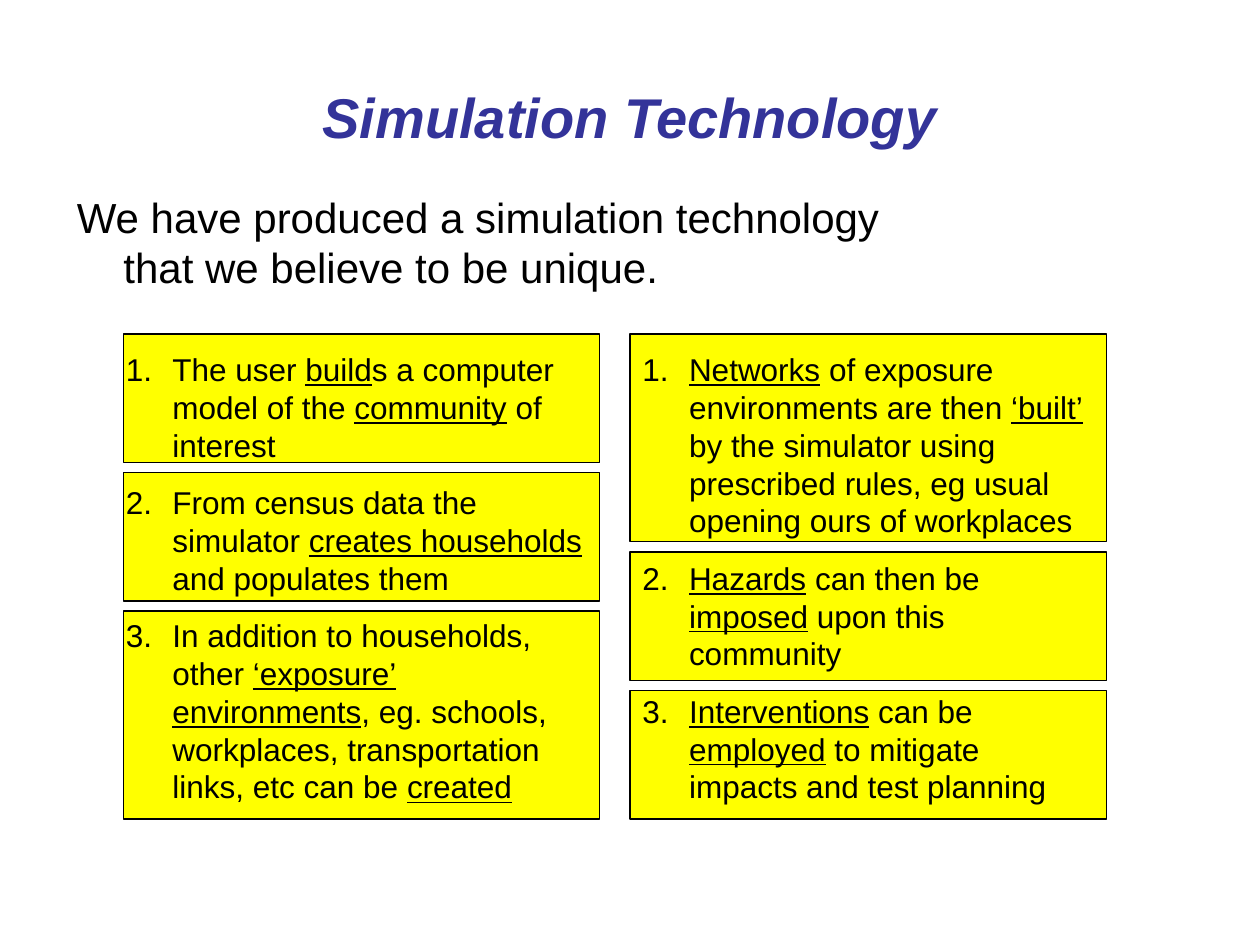
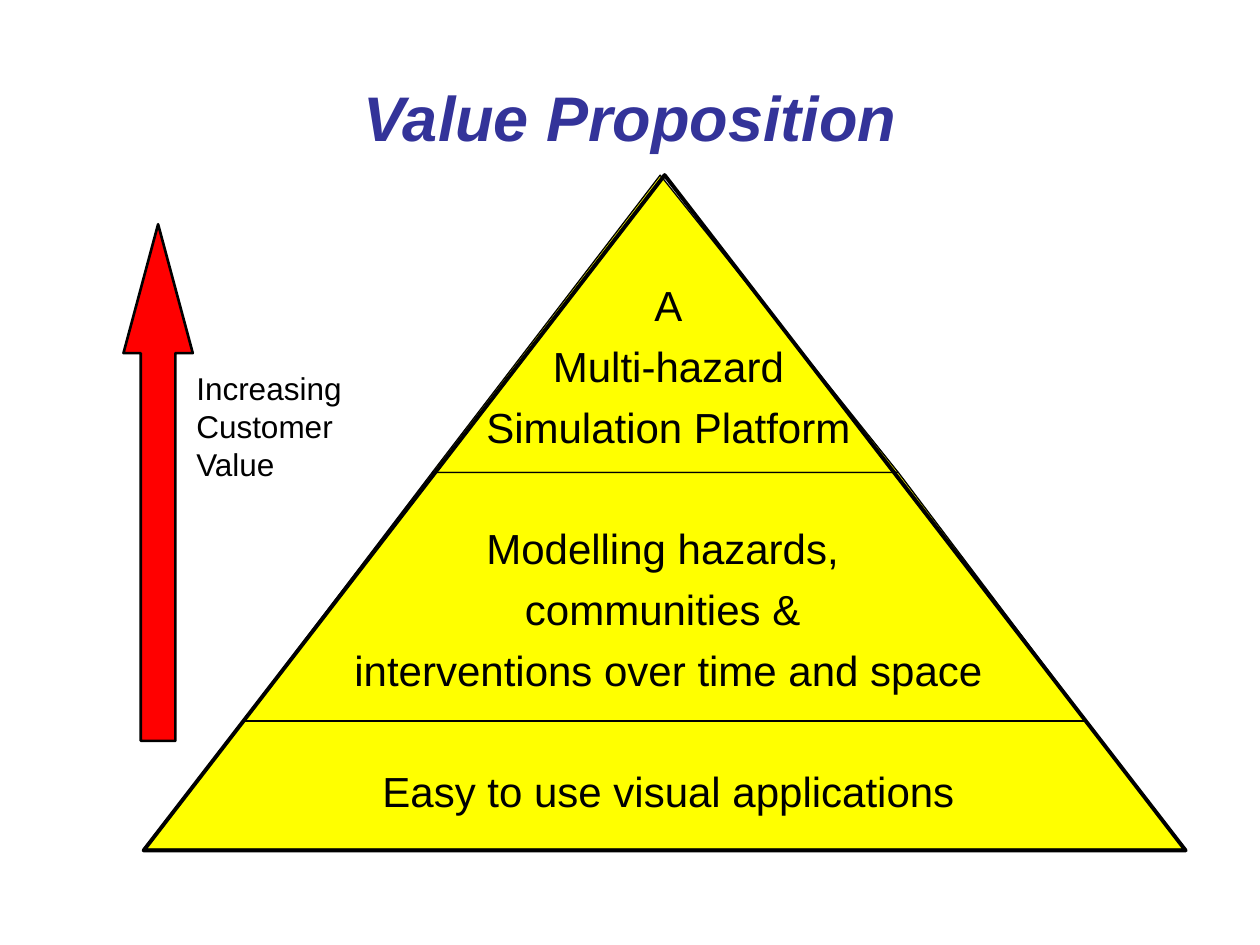
"""Build two slides on a simulation technology and its value proposition."""
from lxml import etree
from pptx import Presentation
from pptx import util as u
from pptx.dml.color import RGBColor
from pptx.enum import shapes, text
from pptx.oxml import ns

YELLOW, RED, BLACK, NAVY = "FFFF00", "FF0000", "000000", "333399"
BODY = {"name": "Arial", "size": u.Pt(24), "bold": False, "italic": False}
SMALL = {**BODY, "size": u.Pt(18)}
HEADING = {"name": "Arial", "bold": True, "italic": True}
LEFT, CENTER = text.PP_ALIGN.LEFT, text.PP_ALIGN.CENTER


def rgb(code):
    """Turn a hex string into a colour."""
    return RGBColor.from_string(code)


def write(shape, box, lines, font, color=BLACK, align=LEFT, before=0.0, hang=0.0, bullet="buNone"):
    """Place a text shape and fill it; words between underscores are underlined."""
    for side, length in zip(("left", "top", "width", "height"), box):
        setattr(shape, side, u.Inches(length))
    frame = shape.text_frame
    frame.word_wrap = True
    frame.auto_size = text.MSO_AUTO_SIZE.NONE
    for index, line in enumerate(lines):
        paragraph = frame.paragraphs[0] if index == 0 else frame.add_paragraph()
        paragraph.alignment = align
        paragraph.space_before = u.Pt(before)
        properties = paragraph._p.get_or_add_pPr()
        properties.set("marL", str(u.Inches(hang)))
        properties.set("indent", str(-u.Inches(hang)))
        mark = etree.SubElement(properties, ns.qn("a:" + bullet))
        if bullet == "buAutoNum":
            mark.set("type", "arabicPeriod")
        for part, words in enumerate(line.split("_")):
            if words:
                run = paragraph.add_run()
                run.text = words
                for key, value in {**font, "underline": part % 2 == 1}.items():
                    setattr(run.font, key, value)
                run.font.color.rgb = rgb(color)


deck = Presentation()
deck.slide_width, deck.slide_height = u.Inches(10), u.Inches(7.5)
technology, proposition = [deck.slides.add_slide(deck.slide_layouts[1]) for _ in range(2)]
painted = []

for slide, heading, size in (
    (technology, "Simulation Technology", 32),
    (proposition, "Value Proposition", 36),
):
    write(slide.shapes.title, (0.5, 0.3, 9, 1.25), [heading],
          {**HEADING, "size": u.Pt(size)}, NAVY, CENTER)
    slide.shapes.title.text_frame.vertical_anchor = text.MSO_ANCHOR.MIDDLE

write(technology.placeholders[1], (0.51, 1.47, 6.61, 1.1),
      ["We have produced a simulation technology that we believe to be unique."],
      BODY, before=6, hang=0.37)

community_steps = [
    "The user _build_s a computer model of the _community_ of interest",
    "From census data the simulator _creates households_ and populates them",
    "In addition to households, other _‘exposure’_ _environments_, eg. schools, "
    "workplaces, transportation links, etc can be _created_",
]
hazard_steps = [
    "_Networks_ of exposure environments are then _‘built’_ by the simulator using "
    "prescribed rules, eg usual opening ours of workplaces",
    "_Hazards_ can then be _imposed_ upon this community",
    "_Interventions_ can be _employed_ to mitigate impacts and test planning",
]
for panel_left, list_left, list_width, heights, steps in (
    (0.98, 0.9, 3.86, (1.02, 1.02, 1.65), community_steps),
    (5, 5, 3.78, (1.65, 1.02, 1.02), hazard_steps),
):
    top = 2.65
    for height in heights:
        panel = technology.shapes.add_shape(
            shapes.MSO_SHAPE.RECTANGLE, u.Inches(panel_left), u.Inches(top),
            u.Inches(3.78), u.Inches(height))
        painted.append((panel, YELLOW, 0.75))
        top += height + 0.08
    step_list = technology.shapes.add_textbox(0, 0, 0, 0)
    write(step_list, (list_left, 2.73, list_width, 3.72), steps, SMALL,
          before=11.2, hang=0.37, bullet="buAutoNum")

apex, upper, lower, base = (
    [(5.24, 1.39)],
    [(3.43, 3.75), (7.13, 3.75)],
    [(1.93, 5.72), (8.62, 5.72)],
    [(1.14, 6.74), (9.41, 6.74)],
)
for above, below in ((apex, upper), (upper, lower), (lower, base)):
    corners = [(u.Inches(x), u.Inches(y)) for x, y in [below[0], *above, below[1]]]
    outline = proposition.shapes.build_freeform(*corners[0])
    outline.add_line_segments(corners[1:], close=True)
    tier = outline.convert_to_shape()
    painted.append((tier, YELLOW, 0.75))

messages = proposition.placeholders[1]
tier.element.addnext(messages.element)
write(messages, (1.85, 2.17, 6.91, 4.48), [
    "A", "Multi-hazard", "Simulation Platform",
    "Modelling hazards, ", "communities & ", "interventions over time and space",
    "Easy to use visual applications",
], BODY, align=CENTER, before=6, hang=0.37)
for first_of_tier in (3, 6):
    messages.text_frame.paragraphs[first_of_tier].space_before = u.Pt(40.5)

pyramid = proposition.shapes.add_shape(
    shapes.MSO_SHAPE.ISOSCELES_TRIANGLE, u.Inches(1.14), u.Inches(1.39),
    u.Inches(8.27), u.Inches(5.36))
painted.append((pyramid, None, 2.25))

for start, end, level in ((1.93, 8.62, 5.72), (3.5, 7.13, 3.75)):
    divider = proposition.shapes.add_connector(
        shapes.MSO_CONNECTOR.STRAIGHT, u.Inches(start), u.Inches(level),
        u.Inches(end), u.Inches(level))
    divider.line.color.rgb = rgb(BLACK)
    divider.line.width = u.Pt(1)
    etree.SubElement(divider.element.spPr, ns.qn("a:effectLst"))

value_arrow = proposition.shapes.add_shape(
    shapes.MSO_SHAPE.UP_ARROW, u.Inches(0.98), u.Inches(1.78), u.Inches(0.55), u.Inches(4.1))
value_arrow.adjustments[0], value_arrow.adjustments[1] = 0.5, 1.86
painted.append((value_arrow, RED, 1.5))

value_label = proposition.shapes.add_textbox(0, 0, 0, 0)
write(value_label, (1.46, 2.88, 1.5, 1), ["Increasing Customer Value"], SMALL, before=11.2)

for shape, fill, width in painted:
    shape.shadow.inherit = False
    if fill:
        shape.fill.solid()
        shape.fill.fore_color.rgb = rgb(fill)
    else:
        shape.fill.background()
    shape.line.color.rgb = rgb(BLACK)
    shape.line.width = u.Pt(width)

deck.save("out.pptx")
